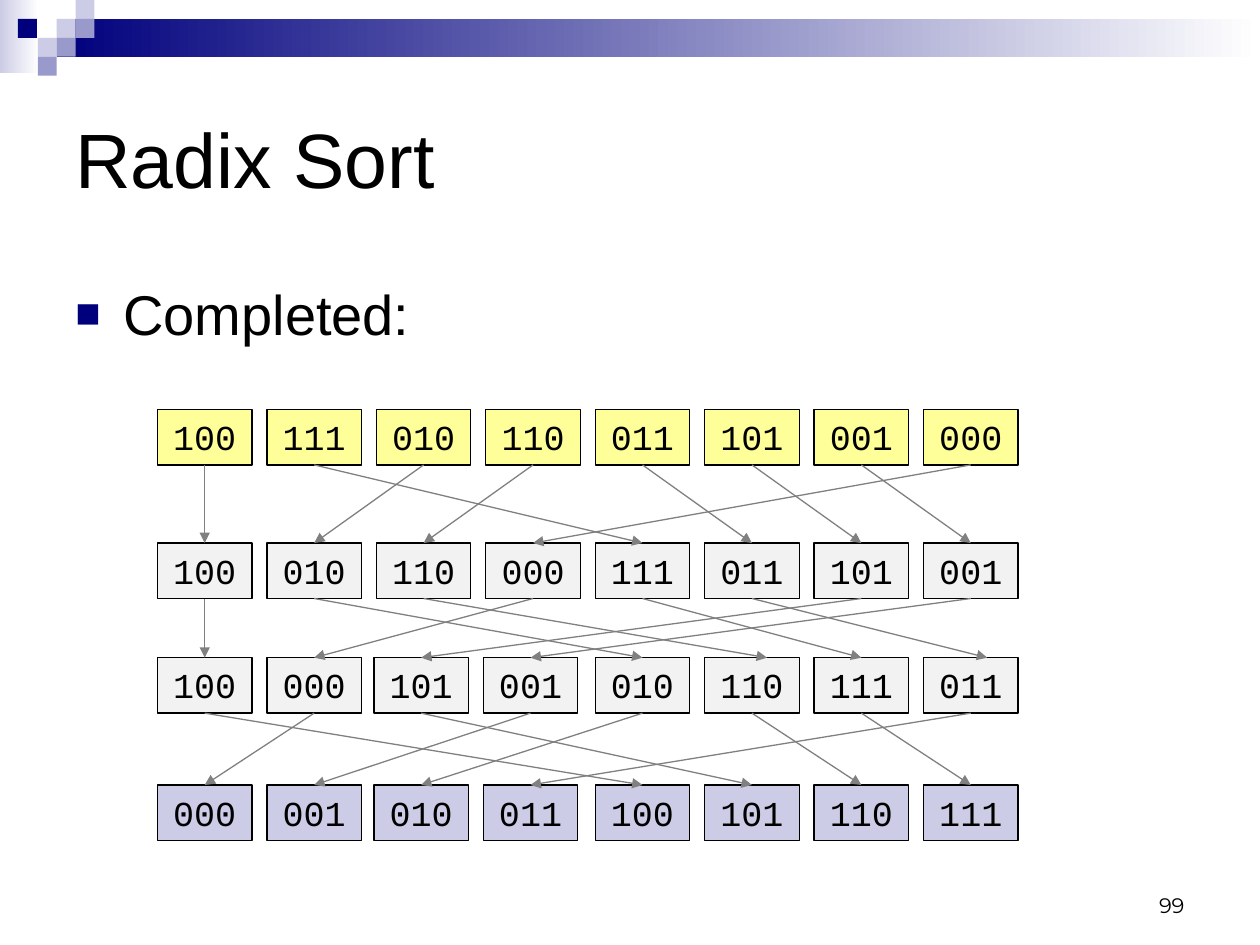
import pptx
import pptx.util
import pptx.dml.color
import pptx.enum.shapes
import pptx.enum.text
import pptx.oxml.ns
import lxml.etree

Inches = pptx.util.Inches
Pt = pptx.util.Pt
Color = pptx.dml.color.RGBColor
Align = pptx.enum.text.PP_ALIGN
Anchor = pptx.enum.text.MSO_ANCHOR
RECTANGLE = pptx.enum.shapes.MSO_SHAPE.RECTANGLE
STRAIGHT = pptx.enum.shapes.MSO_CONNECTOR.STRAIGHT
qn = pptx.oxml.ns.qn

BLACK = Color(0x00, 0x00, 0x00)
WHITE = Color(0xFF, 0xFF, 0xFF)
NAVY = Color(0x00, 0x00, 0x7D)
LAVENDER = Color(0xCC, 0xCC, 0xE6)
VIOLET = Color(0x99, 0x99, 0xCC)
YELLOW = Color(0xFF, 0xFF, 0x99)
PALE = Color(0xF2, 0xF2, 0xF2)
GRAY = Color(0x80, 0x80, 0x80)

deck = pptx.Presentation()
deck.slide_width, deck.slide_height = Inches(10), Inches(7.5)
page = deck.slides.add_slide(deck.slide_layouts[6])


def write(box, text, font="Arial", size=20, align=Align.LEFT, anchor=Anchor.TOP):
    """Put one formatted paragraph in a box and return the paragraph."""
    box.text_frame.word_wrap = True
    box.text_frame.vertical_anchor = anchor
    para = box.text_frame.paragraphs[0]
    para.alignment = align
    span = para.add_run()
    span.text = text
    span.font.name, span.font.size = font, Pt(size)
    span.font.color.rgb = BLACK
    return para


def add_block(left, top, width, height, color, fade=False):
    """Draw a borderless rectangle, plain or fading to white."""
    block = page.shapes.add_shape(
        RECTANGLE, Inches(left), Inches(top), Inches(width), Inches(height))
    block.shadow.inherit = False
    block.line.fill.background()
    if fade:
        block.fill.gradient()
        block.fill.gradient_angle = 0
        for stop, shade in zip(block.fill.gradient_stops, (color, WHITE)):
            stop.color.rgb = shade
    else:
        block.fill.solid()
        block.fill.fore_color.rgb = color
    return block


# Banner: two fading bars and a mosaic on a square grid
TILE = 0.15
add_block(0, 0, 0.31, 0.58, LAVENDER, fade=True)
add_block(3 * TILE, TILE, 10 - 3 * TILE, 2 * TILE, NAVY, fade=True)
mosaic = [(3, 1, LAVENDER), (4, 0, LAVENDER), (4, 1, VIOLET), (2, 2, LAVENDER),
          (0.95, 1, NAVY), (3, 2, VIOLET), (2, 3, VIOLET)]
for column, row, color in mosaic:
    add_block(column * TILE, row * TILE, TILE, TILE, color)

# Title, bullet and page number
title = page.shapes.add_textbox(Inches(0.5), Inches(0.5), Inches(9), Inches(1.5))
write(title, "Radix Sort", size=44, anchor=Anchor.MIDDLE)

body = page.shapes.add_textbox(Inches(0.5), Inches(2.17), Inches(9), Inches(0.75))
bullet = write(body, "Completed:", size=32)
bullet.space_before = Pt(6)
settings = bullet._p.get_or_add_pPr()
settings.set("marL", str(Inches(0.38)))
settings.set("indent", str(-Inches(0.38)))
bullet_color = lxml.etree.SubElement(settings, qn("a:buClr"))
lxml.etree.SubElement(bullet_color, qn("a:srgbClr"), val=str(NAVY))
lxml.etree.SubElement(settings, qn("a:buSzPct"), val="75000")
lxml.etree.SubElement(settings, qn("a:buFont"), typeface="Arial")
lxml.etree.SubElement(settings, qn("a:buChar"), char="■")

number = page.shapes.add_textbox(Inches(7.17), Inches(6.83), Inches(2.33), Inches(0.5))
write(number, "99", font="Montserrat", size=12, align=Align.RIGHT, anchor=Anchor.BOTTOM)

# Sorting passes: each arrow follows a key to its place in the next row
FIRST, LAST, CELL_WIDTH, CELL_HEIGHT = 1.25, 7.33, 0.75, 0.44
passes = [
    (3.25, YELLOW, "100 111 010 110 011 101 001 000"),
    (4.31, PALE, "100 010 110 000 111 011 101 001"),
    (5.22, PALE, "100 000 101 001 010 110 111 011"),
    (6.23, LAVENDER, "000 001 010 011 100 101 110 111"),
]
tip_shifts = {(2, "110"): 0.12, (2, "011"): 0.13}
previous, previous_bottom = {}, 0
for level, (top, color, keys) in enumerate(passes):
    centers = {}
    for column, key in enumerate(keys.split()):
        left = FIRST + column * (LAST - FIRST) / 7
        if level >= 2 and column in (2, 3):
            left -= 0.02
        cell = add_block(left, top, CELL_WIDTH, CELL_HEIGHT, color)
        cell.line.color.rgb, cell.line.width = BLACK, Pt(0.75)
        write(cell, key, font="Courier New", align=Align.CENTER)
        centers[key] = left + CELL_WIDTH / 2
    for key, start in previous.items():
        tip = centers[key] + tip_shifts.get((level, key), 0)
        arrow = page.shapes.add_connector(
            STRAIGHT, Inches(start), Inches(previous_bottom), Inches(tip), Inches(top))
        arrow.line.color.rgb, arrow.line.width = GRAY, Pt(0.75)
        lxml.etree.SubElement(arrow.line._get_or_add_ln(), qn("a:tailEnd"), type="triangle")
        lxml.etree.SubElement(arrow._element.spPr, qn("a:effectLst"))
    previous, previous_bottom = centers, top + CELL_HEIGHT

deck.save("out.pptx")
